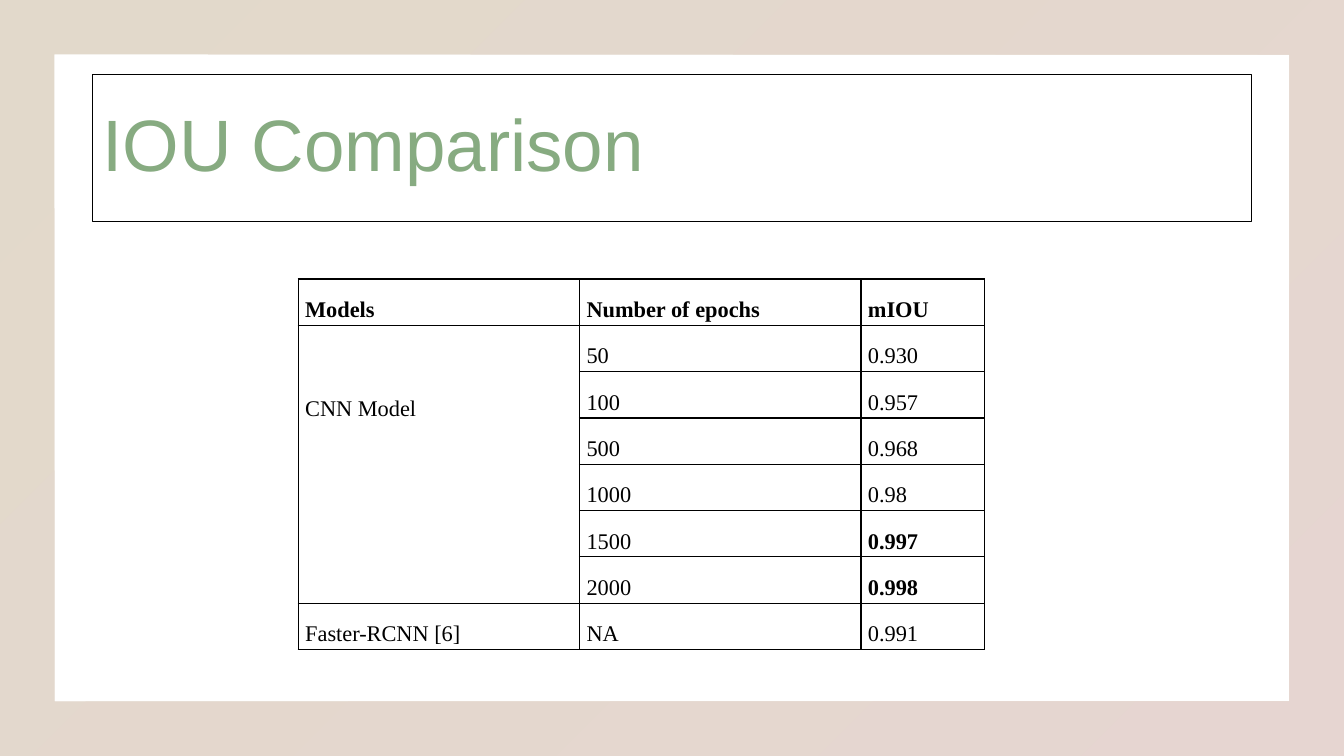
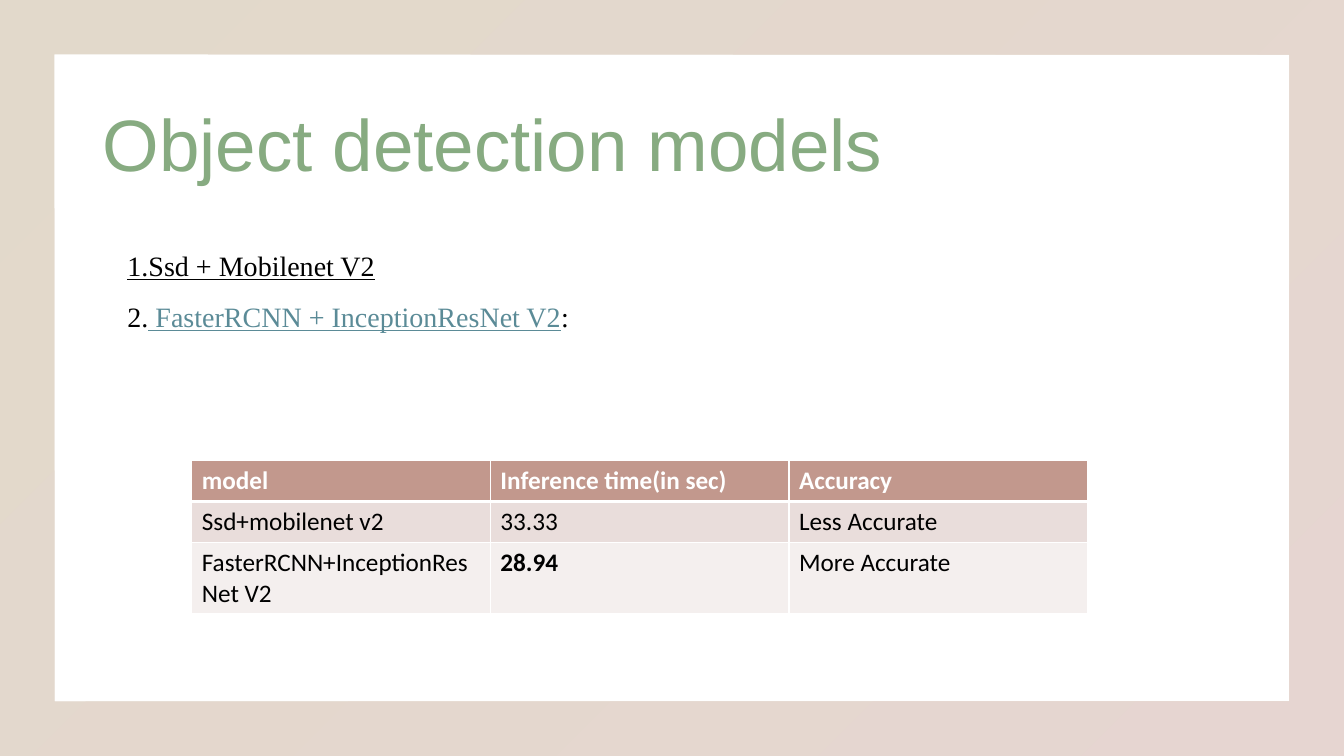
from dataclasses import dataclass

from lxml.etree import SubElement
from pptx import Presentation
from pptx.dml.color import RGBColor
from pptx.enum.shapes import MSO_SHAPE as Preset
from pptx.enum.text import MSO_ANCHOR as Anchor, MSO_AUTO_SIZE as AutoSize, PP_ALIGN as Align
from pptx.oxml import parse_xml
from pptx.oxml.ns import nsdecls, qn
from pptx.util import Pt


# Theme: colours, fonts and type sizes
@dataclass(frozen=True)
class Theme:
    black: str = "000000"
    white: str = "FFFFFF"
    sand: str = "B7A17D"
    rose: str = "C2988D"
    green: str = "87AB81"
    link: str = "5B8B97"
    row_fills: tuple = ("E9DDDB", "F4EFEE")
    title_font: str = "Arial"
    serif_font: str = "Times New Roman"
    table_font: str = "Calibri"
    title_size: float = 52
    body_size: float = 20
    results_size: float = 16
    models_size: float = 18


THEME = Theme()
SLIDE_WIDTH, SLIDE_HEIGHT = 960, 540
LEFT, CONTENT_WIDTH = 66, 828


def paint_gradient(fill, element, stops, angle):
    """Fill with two (colour, opacity percent) stops; element holds the fill."""
    fill.gradient()
    fill.gradient_angle = angle
    for stop, (color, _) in zip(fill.gradient_stops, stops):
        stop.color.rgb = RGBColor.from_string(color)
    for color_node, (_, opacity) in zip(element.iter(qn("a:srgbClr")), stops):
        if opacity < 100:
            SubElement(color_node, qn("a:alpha"), val=str(opacity * 1000))


def format_font(font, name, size, color, bold=False, underline=False):
    font.name = name
    font.size = Pt(size)
    font.bold = bold
    font.underline = underline
    font.color.rgb = RGBColor.from_string(color)


def set_borders(cell, color, widths):
    """Widths run left, right, top, bottom."""
    properties = cell._tc.get_or_add_tcPr()
    for index, (side, width) in enumerate(zip("LRTB", widths)):
        properties.insert(index, parse_xml(
            f'<a:ln{side} {nsdecls("a")} w="{Pt(width)}"><a:solidFill>'
            f'<a:srgbClr val="{color}"/></a:solidFill></a:ln{side}>'))


class Deck:
    def __init__(self, theme):
        self.theme = theme
        self.presentation = Presentation()
        self.presentation.slide_width = Pt(SLIDE_WIDTH)
        self.presentation.slide_height = Pt(SLIDE_HEIGHT)
        self.layout = self.presentation.slide_layouts[5]
        self.slide = None

    def add_slide(self, title, outlined=False):
        first = self.slide is None
        self.slide = self.presentation.slides.add_slide(self.layout)
        if first:
            self.add_layout_frame()
        self.format_title(title, outlined)

    def add_layout_frame(self):
        """Draw the frame once and move it to the back of the shared layout."""
        frame = self.slide.shapes.add_shape(Preset.FRAME, 0, 0, Pt(SLIDE_WIDTH), Pt(SLIDE_HEIGHT))
        frame.adjustments[0] = 0.072
        frame.shadow.inherit = False
        frame.line.fill.background()
        stops = [(self.theme.sand, 40), (self.theme.rose, 40)]
        paint_gradient(frame.fill, frame.element.spPr, stops, 315)
        self.layout.shapes.element.insert(2, frame.element)

    def format_title(self, text, outlined):
        title = self.slide.shapes.title
        title.left, title.top = Pt(LEFT), Pt(53.5)
        title.width, title.height = Pt(CONTENT_WIDTH), Pt(104.5)
        if outlined:
            title.line.color.rgb = RGBColor.from_string(self.theme.black)
            title.line.width = Pt(0.75)
        text_frame = title.text_frame
        text_frame.text = text
        text_frame.word_wrap = True
        text_frame.auto_size = AutoSize.NONE
        text_frame.vertical_anchor = Anchor.MIDDLE
        paragraph = text_frame.paragraphs[0]
        paragraph.alignment = Align.LEFT
        paragraph.line_spacing = 0.9
        font = paragraph.runs[0].font
        font.name = self.theme.title_font
        font.size = Pt(self.theme.title_size)
        stops = [(self.theme.green, 100), (self.theme.rose, 70)]
        paint_gradient(font.fill, paragraph.runs[0]._r, stops, 0)

    def add_text(self, top, height, lines):
        """Each line is a list of (text, colour, underline) runs."""
        box = self.slide.shapes.add_textbox(Pt(LEFT), Pt(top), Pt(CONTENT_WIDTH), Pt(height))
        text_frame = box.text_frame
        text_frame.word_wrap = True
        for index, line in enumerate(lines):
            paragraph = text_frame.add_paragraph() if index else text_frame.paragraphs[0]
            paragraph._p.get_or_add_pPr().set("marL", str(Pt(18)))
            paragraph.line_spacing = 1.1
            paragraph.space_before = Pt(10 if index else 0)
            for text, color, underline in line:
                run = paragraph.add_run()
                run.text = text
                format_font(run.font, self.theme.serif_font, self.theme.body_size,
                            color, underline=underline)

    def add_table(self, left, top, widths, heights, rows):
        table = self.slide.shapes.add_table(
            len(rows), len(widths), Pt(left), Pt(top), Pt(sum(widths)), Pt(sum(heights))).table
        table.first_row = table.horz_banding = False
        for column, width in zip(table.columns, widths):
            column.width = Pt(width)
        for row, height in zip(table.rows, heights):
            row.height = Pt(height)
        for row, texts in zip(table.rows, rows):
            for cell, text in zip(row.cells, texts):
                cell.text = text
        return table

    def add_results_table(self, rows, bold_values, merged_rows):
        """Plain ruled table with text at the foot of each cell."""
        table = self.add_table(213, 199.3, [201, 201, 88], [33.1] * len(rows), rows)
        for row_index, row in enumerate(table.rows):
            for cell in row.cells:
                cell.fill.background()
                set_borders(cell, self.theme.black, [1] * 4)
                cell.margin_left, cell.margin_right = Pt(5), 0
                cell.margin_top, cell.margin_bottom = 0, Pt(2)
                cell.vertical_anchor = Anchor.BOTTOM
                paragraph = cell.text_frame.paragraphs[0]
                paragraph.line_spacing = Pt(13.8)
                bold = row_index == 0 or cell.text in bold_values
                format_font(paragraph.font, self.theme.serif_font, self.theme.results_size,
                            self.theme.black, bold)
                for run in paragraph.runs:
                    format_font(run.font, self.theme.serif_font, self.theme.results_size,
                                self.theme.black, bold)
        first, last = merged_rows
        merged = table.cell(first, 0)
        merged.merge(table.cell(last, 0))
        merged.vertical_anchor = Anchor.TOP
        merged.margin_top = Pt(51)
        merged.text_frame.paragraphs[0].line_spacing = 1.0

    def add_models_table(self, rows, bold_values):
        """Banded table with a coloured header."""
        table = self.add_table(137, 329, [213.3] * 3, [29.2, 29.2, 51], rows)
        fills = (self.theme.rose, *self.theme.row_fills)
        for row_index, (row, fill) in enumerate(zip(table.rows, fills)):
            header = row_index == 0
            for cell in row.cells:
                cell.fill.solid()
                cell.fill.fore_color.rgb = RGBColor.from_string(fill)
                set_borders(cell, self.theme.white,
                            [1, 1, 3 if row_index == 1 else 1, 3 if header else 1])
                format_font(cell.text_frame.paragraphs[0].runs[0].font,
                            self.theme.table_font, self.theme.models_size,
                            self.theme.white if header else self.theme.black,
                            header or cell.text in bold_values)


def main():
    deck = Deck(THEME)

    # IOU comparison
    deck.add_slide("IOU Comparison", outlined=True)
    deck.add_results_table([
        ("Models", "Number of epochs", "mIOU"),
        ("CNN Model", "50", "0.930"),
        ("", "100", "0.957"),
        ("", "500", "0.968"),
        ("", "1000", "0.98"),
        ("", "1500", "0.997"),
        ("", "2000", "0.998"),
        ("Faster-RCNN [6]", "NA", "0.991"),
    ], bold_values=("0.997", "0.998"), merged_rows=(1, 6))

    # Object detection models
    deck.add_slide("Object detection models")
    deck.add_text(171.5, 314.5, [
        [("1.Ssd + Mobilenet V2", THEME.black, True)],
        [("2.", THEME.black, False),
         (" FasterRCNN + InceptionResNet V2", THEME.link, True),
         (":", THEME.black, False)],
    ])
    deck.add_models_table([
        ("model", "Inference time(in sec)", "Accuracy"),
        ("Ssd+mobilenet v2", "33.33", "Less Accurate"),
        ("FasterRCNN+InceptionResNet V2", "28.94", "More Accurate"),
    ], bold_values=("28.94",))

    deck.presentation.save("out.pptx")


if __name__ == "__main__":
    main()
